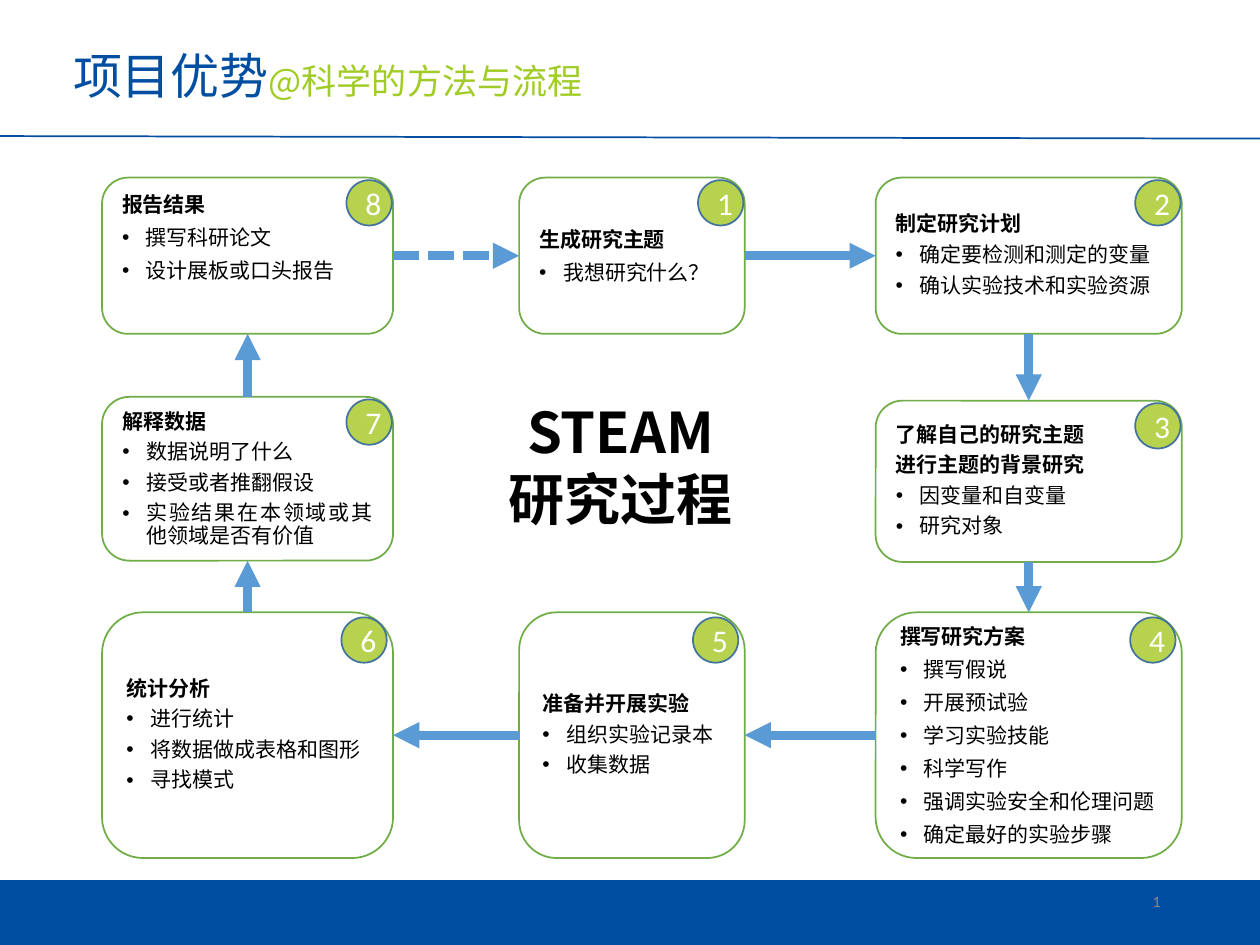
from collections import namedtuple

from pptx import Presentation
from pptx.dml.color import RGBColor
from pptx.enum.dml import MSO_LINE
from pptx.enum.shapes import MSO_CONNECTOR, MSO_SHAPE
from pptx.enum.text import MSO_ANCHOR, PP_ALIGN
from pptx.oxml.ns import qn
from pptx.util import Inches, Pt

RECT, ROUNDED, OVAL = MSO_SHAPE.RECTANGLE, MSO_SHAPE.ROUNDED_RECTANGLE, MSO_SHAPE.OVAL
STRAIGHT, DASH = MSO_CONNECTOR.STRAIGHT, MSO_LINE.SQUARE_DOT
TOP, MIDDLE, BOTTOM = MSO_ANCHOR.TOP, MSO_ANCHOR.MIDDLE, MSO_ANCHOR.BOTTOM
LEFT, CENTER, RIGHT, JUSTIFY = PP_ALIGN.LEFT, PP_ALIGN.CENTER, PP_ALIGN.RIGHT, PP_ALIGN.JUSTIFY

CJK = "Noto Sans CJK SC"
NAVY, LIME, SKY, BLACK, WHITE = "004EA1", "A1CC27", "5B9BD5", "000000", "FFFFFF"
BADGE = 0.36
INDENT = 0.19

Step = namedtuple("Step", "at anchor align spacing font headings points")

STEPS = [
    Step((4.12, 1.41, 1.79, 1.24), MIDDLE, LEFT, 1.0, CJK, ["生成研究主题"],
         ["我想研究什么？"]),
    Step((6.95, 1.41, 2.43, 1.24), MIDDLE, LEFT, 0.9, CJK, ["制定研究计划"],
         ["确定要检测和测定的变量", "确认实验技术和实验资源"]),
    Step((6.95, 3.18, 2.43, 1.28), MIDDLE, JUSTIFY, 0.9, CJK,
         ["了解自己的研究主题", "进行主题的背景研究"], ["因变量和自变量", "研究对象"]),
    Step((6.95, 4.86, 2.43, 1.95), MIDDLE, JUSTIFY, 1.0, CJK, ["撰写研究方案"],
         ["撰写假说", "开展预试验", "学习实验技能", "科学写作",
          "强调实验安全和伦理问题", "确定最好的实验步骤"]),
    Step((4.12, 4.86, 1.79, 1.95), MIDDLE, JUSTIFY, 0.9, CJK, ["准备并开展实验"],
         ["组织实验记录本", "收集数据"]),
    Step((0.81, 4.86, 2.31, 1.95), MIDDLE, JUSTIFY, 0.9, CJK, ["统计分析"],
         ["进行统计", "将数据做成表格和图形", "寻找模式"]),
    Step((0.81, 3.15, 2.31, 1.3), TOP, JUSTIFY, 0.9, CJK, ["解释数据"],
         ["数据说明了什么", "接受或者推翻假设", "实验结果在本领域或其他领域是否有价值"]),
    Step((0.81, 1.41, 2.31, 1.24), TOP, JUSTIFY, 1.0, "Arial", ["报告结果"],
         ["撰写科研论文", "设计展板或口头报告"]),
]


def rgb(value):
    """Turn a hex string into a colour."""
    return RGBColor.from_string(value)


def apply(target, formats):
    """Set every attribute named in a dict of format values."""
    for name, value in formats.items():
        setattr(target, name, value)


def add_run(paragraph, text, size, color, font=CJK, bold=False):
    """Add a run with its Latin and East Asian fonts."""
    run = paragraph.add_run()
    run.text = text
    apply(run.font, {"size": Pt(size), "name": font, "bold": bold})
    run.font.color.rgb = rgb(color)
    east_asian = run.font._element.makeelement(qn("a:ea"), {"typeface": CJK})
    run.font._element.find(qn("a:latin")).addnext(east_asian)


def add_bullet(paragraph):
    """Give a paragraph a round bullet with a hanging indent."""
    properties = paragraph._p.get_or_add_pPr()
    properties.set("marL", str(Inches(INDENT)))
    properties.set("indent", str(-Inches(INDENT)))
    for tag, values in (("a:buFont", {"typeface": "Arial"}), ("a:buChar", {"char": "•"})):
        properties.append(properties.makeelement(qn(tag), values))


def add_panel(slide, kind, at, fill, outline):
    """Add a filled, outlined preset shape without shadow."""
    panel = slide.shapes.add_shape(kind, *map(Inches, at))
    panel.shadow.inherit = False
    panel.fill.solid()
    panel.fill.fore_color.rgb = rgb(fill)
    panel.line.color.rgb = rgb(outline)
    panel.line.width = Pt(1)
    return panel


def add_label(slide, at, lines, align, anchor, margins=(0.1, 0.05, 0.1, 0.05), spacing=1.0):
    """Add a text box; each line is a list of run arguments."""
    frame = slide.shapes.add_textbox(*map(Inches, at)).text_frame
    sides = ("margin_left", "margin_top", "margin_right", "margin_bottom")
    apply(frame, {"word_wrap": True, "vertical_anchor": anchor,
                  **dict(zip(sides, map(Inches, margins)))})
    for index, runs in enumerate(lines):
        paragraph = frame.add_paragraph() if index else frame.paragraphs[0]
        apply(paragraph, {"alignment": align, "line_spacing": spacing})
        for run in runs:
            add_run(paragraph, *run)


def add_line(slide, start, end, color, width, arrow=False, dash=None):
    """Draw a straight line, optionally dashed or with an arrowhead."""
    line = slide.shapes.add_connector(STRAIGHT, *map(Inches, (*start, *end)))
    line.line.color.rgb = rgb(color)
    line.line.width = Pt(width)
    if dash:
        line.line.dash_style = dash
    if arrow:
        outline = line.line._get_or_add_ln()
        outline.append(outline.makeelement(qn("a:tailEnd"), {"type": "triangle"}))
    properties = line._element.spPr
    properties.append(properties.makeelement(qn("a:effectLst"), {}))


def add_step(slide, step):
    """Add a rounded box with bold headings and bulleted points."""
    frame = add_panel(slide, ROUNDED, step.at, WHITE, "70AD47").text_frame
    apply(frame, {"word_wrap": True, "vertical_anchor": step.anchor})
    for index, text in enumerate(step.headings + step.points):
        is_heading = index < len(step.headings)
        paragraph = frame.add_paragraph() if index else frame.paragraphs[0]
        apply(paragraph, {"alignment": step.align, "line_spacing": step.spacing,
                          "space_after": Pt(4.5)})
        if not is_heading:
            add_bullet(paragraph)
        add_run(paragraph, text, 12, BLACK, step.font, is_heading)


def add_badge(slide, number, box):
    """Put a numbered circle in the top right corner of a box."""
    left, top, width, height = box
    inset, drop = (0.05, 0.04) if height > 1.5 else (0.01, 0.02)
    at = (left + width - BADGE - inset, top + drop, BADGE, BADGE)
    frame = add_panel(slide, OVAL, at, "B6D24E", "43739E").text_frame
    apply(frame, {"word_wrap": True, "vertical_anchor": MIDDLE})
    frame.paragraphs[0].alignment = CENTER
    add_run(frame.paragraphs[0], str(number), 18, WHITE, "Calibri")


def add_flow(slide, source, target, dash=None):
    """Join the facing edges of two boxes with an arrow."""
    left, top, width, height = source
    next_left, next_top, next_width, next_height = target
    if left == next_left:
        x = left + width / 2
        down = next_top > top
        start = (x, top + height if down else top)
        end = (x, next_top if down else next_top + next_height)
    else:
        y = top + height / 2
        rightward = next_left > left
        start = (left + width if rightward else left, y)
        end = (next_left if rightward else next_left + next_width, y)
    add_line(slide, start, end, SKY, 5, arrow=True, dash=dash)


def main():
    """Build the research process slide."""
    deck = Presentation()
    apply(deck, {"slide_width": Inches(10), "slide_height": Inches(7.5)})
    slide = deck.slides.add_slide(deck.slide_layouts[6])

    add_line(slide, (0, 1.08), (10, 1.1), NAVY, 1)
    add_panel(slide, RECT, (0, 6.99, 10, 0.51), NAVY, NAVY)
    add_label(slide, (0.51, 0.25, 5.86, 0.74),
              [[("项目优势", 28, NAVY), ("@科学的方法与流程", 20, LIME)]],
              LEFT, MIDDLE, (0.07, 0.04, 0.07, 0.04), 0.9)
    add_label(slide, (2.97, 3.21, 3.91, 1.01),
              [[(text, 32, BLACK, CJK, True)] for text in ("STEAM", "研究过程")],
              CENTER, BOTTOM, (0, 0.05, 0, 0))

    for step in STEPS:
        add_step(slide, step)
    for source, target in zip(STEPS, STEPS[1:]):
        add_flow(slide, source.at, target.at)
    add_flow(slide, STEPS[-1].at, STEPS[0].at, DASH)
    for number, step in enumerate(STEPS, 1):
        add_badge(slide, number, step.at)

    add_label(slide, (7.06, 6.95, 2.25, 0.4), [[("1", 9, "8C8C8C", "Calibri")]], RIGHT, MIDDLE)
    deck.save("out.pptx")


main()
